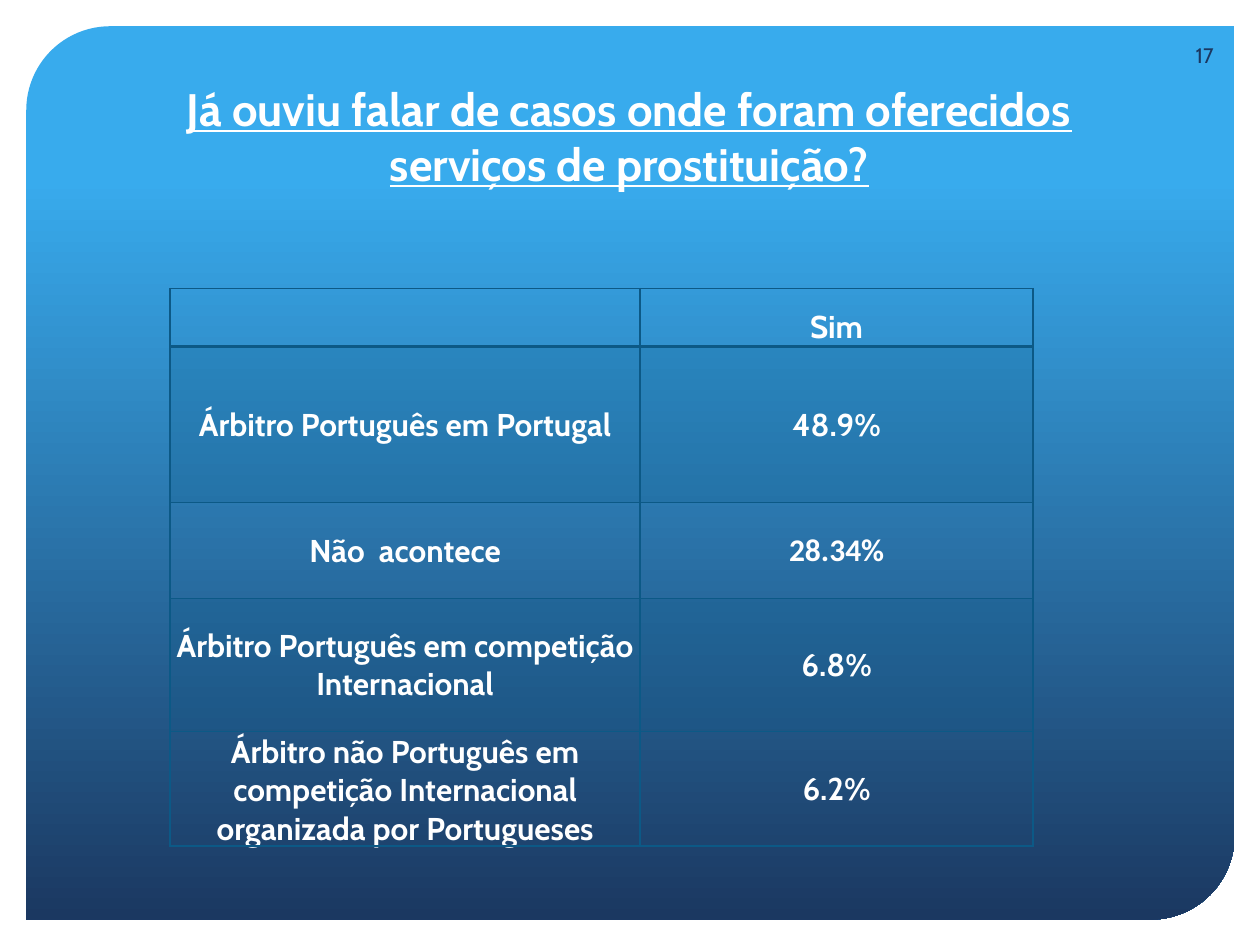
from lxml import etree
from pptx import Presentation
from pptx.dml.color import RGBColor
from pptx.enum.shapes import MSO_SHAPE
from pptx.enum.text import MSO_ANCHOR, PP_ALIGN
from pptx.oxml.ns import qn
from pptx.util import Pt

CENTER, RIGHT = PP_ALIGN.CENTER, PP_ALIGN.RIGHT
MIDDLE, BOTTOM = MSO_ANCHOR.MIDDLE, MSO_ANCHOR.BOTTOM
PANEL = MSO_SHAPE.ROUND_2_DIAG_RECTANGLE

COLORS = {"sky": "38ABED", "navy": "1B3861", "grid": "0C5986", "white": "FFFFFF"}

TITLE = "Já ouviu falar de casos onde foram oferecidos serviços de prostituição?"
ANSWERS = [
    ("", "Sim"),
    ("Árbitro Português em Portugal", "48.9%"),
    ("Não  acontece", "28.34%"),
    ("Árbitro Português em competição Internacional", "6.8%"),
    ("Árbitro não Português em competição Internacional organizada por Portugueses",
     "6.2%"),
]
COLUMN_WIDTHS = [268.6, 224.6]
ROW_HEIGHTS = [33.2, 89.2, 54.6, 76.2, 54]
CELL_MARGINS = {"margin_left": Pt(0.7), "margin_right": Pt(0.7),
                "margin_top": Pt(0.7), "margin_bottom": 0}
TITLE_FONT = {"size": Pt(26), "bold": True, "underline": True}
CELL_FONT = {"size": Pt(18), "bold": True}
NUMBER_FONT = {"size": Pt(12)}


def rgb(name):
    return RGBColor.from_string(COLORS[name])


def write(paragraph, text, align, color, font, name="Cabin"):
    paragraph.alignment = align
    run = paragraph.add_run()
    run.text = text
    for key, value in {"name": name, **font}.items():
        setattr(run.font, key, value)
    run.font.color.rgb = rgb(color)


def add_panel(slide, left, top, width, height):
    panel = slide.shapes.add_shape(PANEL, Pt(left), Pt(top), Pt(width), Pt(height))
    panel.shadow.inherit = False
    panel.adjustments[0] = 0.094
    panel.adjustments[1] = 0
    panel.line.fill.background()
    panel.fill.gradient()
    panel.fill.gradient_angle = 270
    stops = [(0.17, "sky"), (1, "navy")]
    for stop, (position, color) in zip(panel.fill.gradient_stops, stops):
        stop.position = position
        stop.color.rgb = rgb(color)


def add_text(slide, box, text, anchor, align, color, font):
    frame = slide.shapes.add_textbox(*map(Pt, box)).text_frame
    frame.word_wrap = True
    frame.vertical_anchor = anchor
    write(frame.paragraphs[0], text, align, color, font)


def set_borders(cell, bottom_width):
    properties = cell._tc.get_or_add_tcPr()
    for side, width in (("L", 1), ("R", 1), ("T", 1), ("B", bottom_width)):
        line = etree.SubElement(properties, qn(f"a:ln{side}"), w=str(Pt(width)))
        solid = etree.SubElement(line, qn("a:solidFill"))
        etree.SubElement(solid, qn("a:srgbClr"), val=COLORS["grid"])


def set_band(cell, shaded):
    if not shaded:
        cell.fill.background()
        return
    cell.fill.solid()
    cell.fill.fore_color.rgb = rgb("grid")
    tint = cell._tc.tcPr.find(qn("a:solidFill")).find(qn("a:srgbClr"))
    etree.SubElement(tint, qn("a:alpha"), val="20000")


def add_answers(slide, left, top):
    table = slide.shapes.add_table(
        len(ANSWERS), len(COLUMN_WIDTHS), Pt(left), Pt(top),
        Pt(sum(COLUMN_WIDTHS)), Pt(sum(ROW_HEIGHTS))).table
    table.first_row = table.horz_banding = False
    for column, width in zip(table.columns, COLUMN_WIDTHS):
        column.width = Pt(width)
    for r, (answer, height) in enumerate(zip(ANSWERS, ROW_HEIGHTS)):
        table.rows[r].height = Pt(height)
        for c, text in enumerate(answer):
            cell = table.cell(r, c)
            for key, value in CELL_MARGINS.items():
                setattr(cell, key, value)
            cell.vertical_anchor = MIDDLE if r else BOTTOM
            # The header is set off by a heavier rule; odd rows are tinted
            set_borders(cell, 1 if r else 2)
            set_band(cell, r % 2 == 1)
            if text:
                name = "Calibri" if text == "28.34%" else "Cabin"
                write(cell.text_frame.paragraphs[0], text, CENTER, "white",
                      CELL_FONT, name)


def main():
    deck = Presentation()
    deck.slide_width, deck.slide_height = Pt(720), Pt(540)
    slide = deck.slides.add_slide(deck.slide_layouts[6])

    # Background panel
    add_panel(slide, 15, 15, 690.5, 510.5)
    # Question
    add_text(slide, (61.2, 30.2, 596.9, 82.1), TITLE, BOTTOM, CENTER, "white",
             TITLE_FONT)
    # Answers
    add_answers(slide, 97.2, 164.9)
    # Slide number
    add_text(slide, (661.7, 17.3, 38.9, 28.8), "17", MIDDLE, RIGHT, "navy",
             NUMBER_FONT)

    deck.save("out.pptx")


if __name__ == "__main__":
    main()
